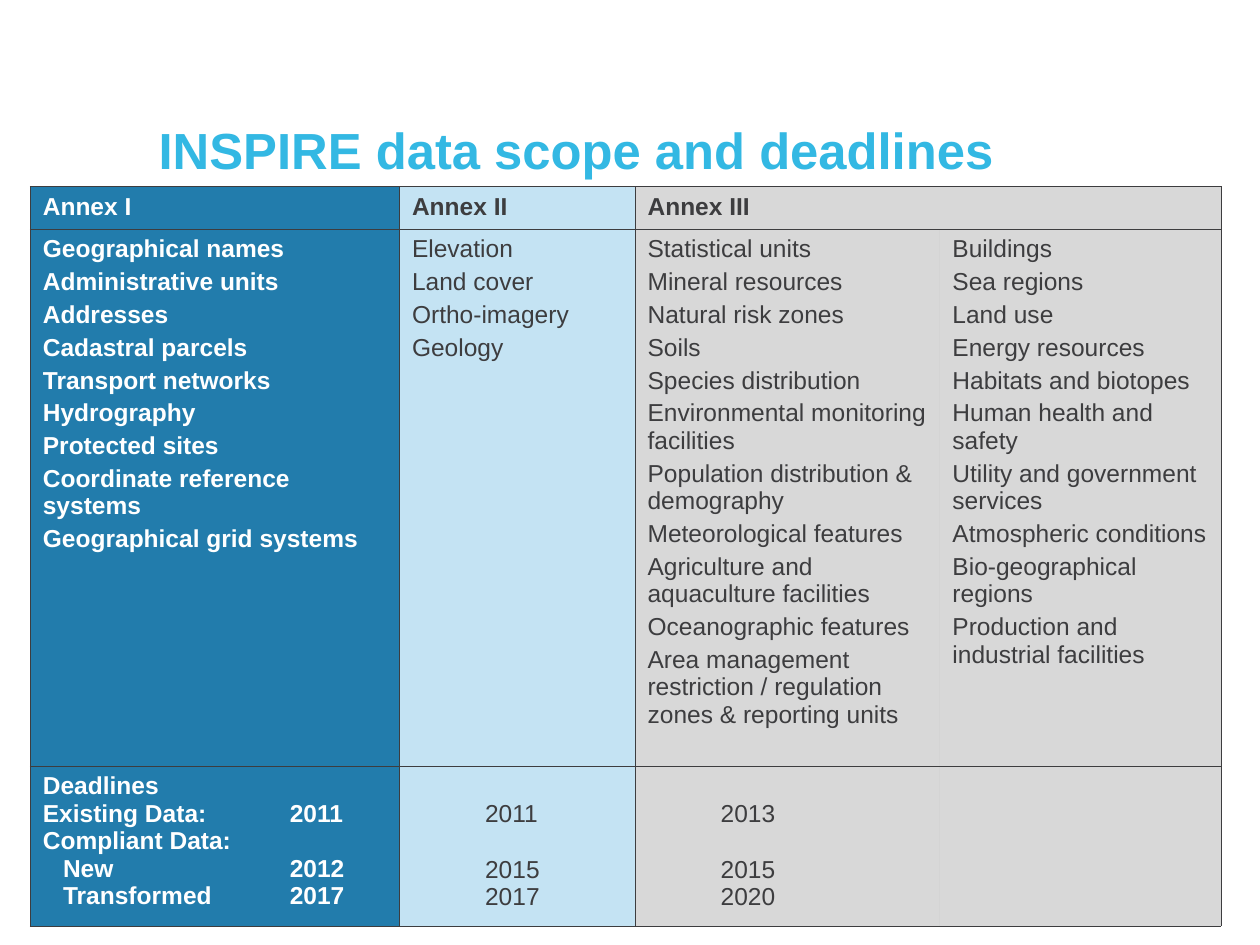
import pptx
import pptx.util
import pptx.dml.color
import pptx.oxml
import pptx.oxml.ns
import lxml.etree

Inches, Pt = pptx.util.Inches, pptx.util.Pt

TITLE = "INSPIRE data scope and deadlines"
HEADS = ["Annex I", "Annex II", "Annex III"]
THEMES = [
    ["Geographical names", "Administrative units", "Addresses",
     "Cadastral parcels", "Transport networks", "Hydrography",
     "Protected sites", "Coordinate reference systems",
     "Geographical grid systems"],
    ["Elevation", "Land cover", "Ortho-imagery", "Geology"],
    ["Statistical units", "Mineral resources", "Natural risk zones", "Soils",
     "Species distribution", "Environmental monitoring facilities",
     "Population distribution & demography", "Meteorological features",
     "Agriculture and aquaculture facilities", "Oceanographic features",
     "Area management restriction / regulation zones & reporting units"],
    ["Buildings", "Sea regions", "Land use", "Energy resources",
     "Habitats and biotopes", "Human health and safety",
     "Utility and government services", "Atmospheric conditions",
     "Bio-geographical regions", "Production and industrial facilities"],
]
DATES = [
    ["Deadlines", "Existing Data:\t2011", "Compliant Data:",
     "\tNew\t2012", "\tTransformed\t2017"],
    ["\t2011", "\t2015", "\t2017"],
    ["\t2013", "\t2015", "\t2020"],
]
WIDTHS = [2.93, 1.87, 2.42, 2.23]
HEIGHTS = [0.34, 4.26, 1.27]

THEME = {
    "font": "Arial", "title": "33B8E3", "white": "FFFFFF", "dark": "3D3D3F",
    "fills": [("227CAC", 100), ("8BC8E8", 50), ("404040", 20), ("404040", 20)],
    "big": 29, "body": 14, "rule": 0.45, "line": 16,
}


def style(para, size, color, bold):
    for run in para.runs:
        font = run.font
        font.name, font.size, font.bold = THEME["font"], Pt(size), bold
        font.color.rgb = pptx.dml.color.RGBColor.from_string(color)


def add_tabs(para, stops):
    props = para._p.get_or_add_pPr()
    tabs = lxml.etree.SubElement(props, pptx.oxml.ns.qn("a:tabLst"))
    for stop in stops:
        lxml.etree.SubElement(tabs, pptx.oxml.ns.qn("a:tab"),
                              pos=str(Inches(stop)), algn="l")


def paint(cell, color, alpha):
    cell.fill.solid()
    cell.fill.fore_color.rgb = pptx.dml.color.RGBColor.from_string(color)
    if alpha < 100:
        tint = cell._tc.tcPr.find(".//" + pptx.oxml.ns.qn("a:srgbClr"))
        lxml.etree.SubElement(tint, pptx.oxml.ns.qn("a:alpha"),
                              val=str(alpha * 1000))


def frame(cell, sides):
    props = cell._tc.get_or_add_tcPr()
    for spot, side in enumerate("LRTB"):
        ink = "<a:noFill/>"
        if side in sides:
            ink = f'<a:solidFill><a:srgbClr val="{THEME["dark"]}"/></a:solidFill>'
        props.insert(spot, pptx.oxml.parse_xml(
            f'<a:ln{side} {pptx.oxml.ns.nsdecls("a")} w="{Pt(THEME["rule"])}">'
            f'{ink}</a:ln{side}>'))


def write(cell, lines, color, bold):
    cell.text_frame.text = "\n".join(lines)
    for para in cell.text_frame.paragraphs:
        style(para, THEME["body"], color, bold)


def main():
    deck = pptx.Presentation()
    deck.slide_width, deck.slide_height = Inches(10), Inches(7.5)
    slide = deck.slides.add_slide(deck.slide_layouts[6])

    box = slide.shapes.add_textbox(Inches(1.26), Inches(0.98),
                                   Inches(8.23), Inches(0.64)).text_frame
    box.word_wrap = True
    box.margin_left = box.margin_right = box.margin_top = box.margin_bottom = 0
    box.text = TITLE
    box.paragraphs[0].line_spacing = Pt(32)
    style(box.paragraphs[0], THEME["big"], THEME["title"], True)

    table = slide.shapes.add_table(
        len(HEIGHTS), len(WIDTHS), Inches(0.24), Inches(1.48),
        Inches(sum(WIDTHS)), Inches(sum(HEIGHTS))).table
    table.first_row = table.horz_banding = False
    for col, width in zip(table.columns, WIDTHS):
        col.width = Inches(width)
    for row, height in zip(table.rows, HEIGHTS):
        row.height = Inches(height)

    for r, group in enumerate([HEADS, THEMES, DATES]):
        for c, fill in enumerate(THEME["fills"]):
            cell = table.cell(r, c)
            paint(cell, *fill)
            frame(cell, {2: "LTB", 3: "RTB"}.get(c, "LRTB") if r else "LRTB")
            if c >= len(group):
                continue
            lines = group[c] if r else [group[c]]
            color = THEME["dark"] if c else THEME["white"]
            write(cell, lines, color, c == 0 or r == 0)
            paras = cell.text_frame.paragraphs
            if r == 1:
                for para in paras:
                    para.space_before = Pt(3)
            if r == 2:
                if c:
                    cell.margin_top = Inches(0.05) + Pt(THEME["line"])
                    paras[1].space_before = Pt(THEME["line"])
                for para in paras:
                    stops = [0.58] if c else [1.96]
                    if not c and para.text.startswith("\t"):
                        stops = [0.16, 1.96]
                    add_tabs(para, stops)
    table.cell(0, 2).merge(table.cell(0, 3))
    deck.save("out.pptx")


if __name__ == "__main__":
    main()
